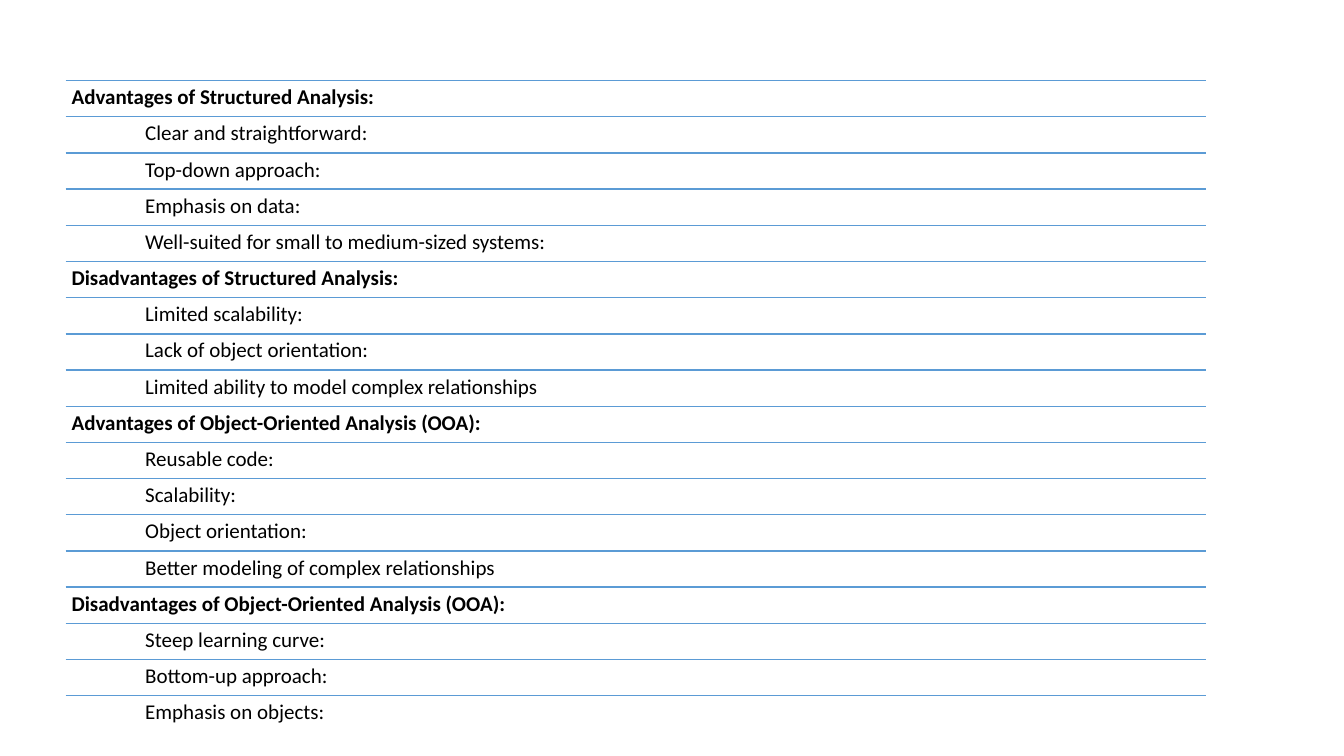
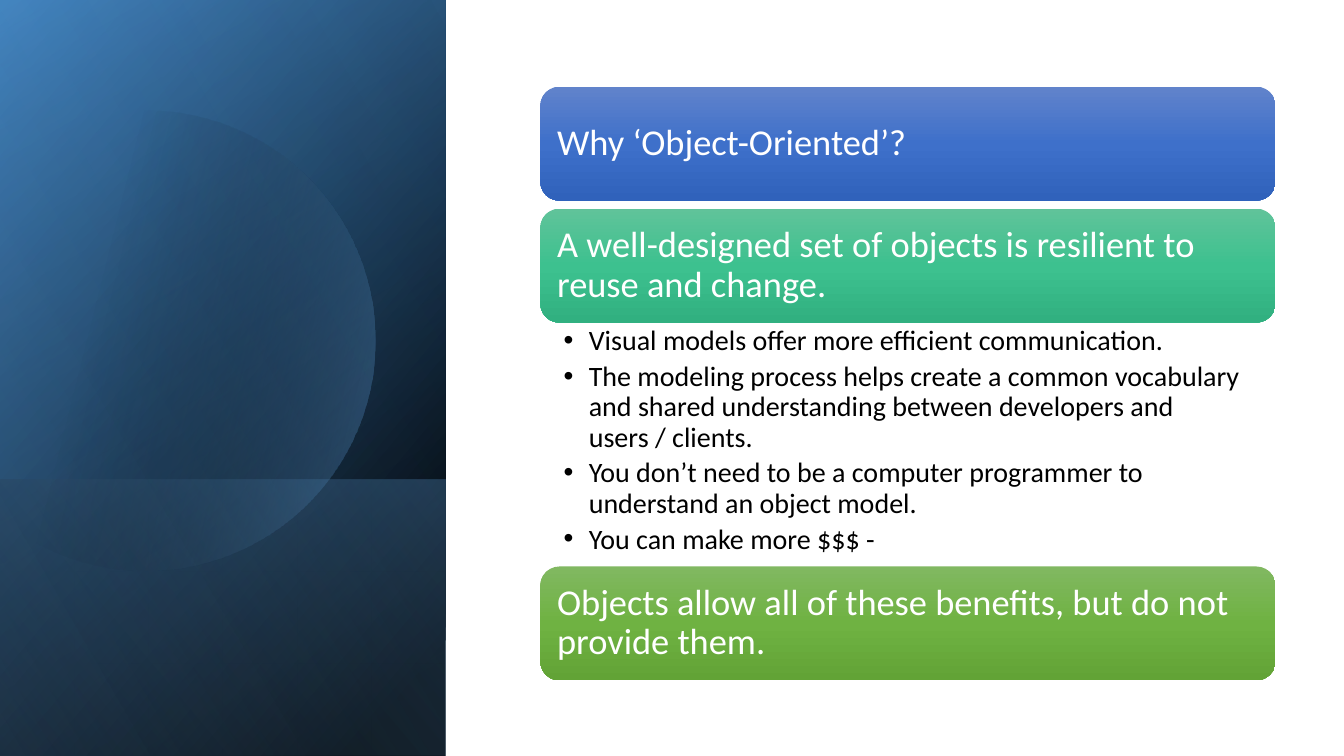
from math import acos, cos, sin, pi

from lxml import etree
from pptx import Presentation
from pptx.dml.color import RGBColor
from pptx.enum import shapes, text
from pptx.oxml import ns, parse_xml
from pptx.util import Inches, Pt

FONT = "Calibri"
BLACK, WHITE, BLUE = "000000", "FFFFFF", "5B9BD5"


def write(shape, lines, size, color, margins, bold=False, anchor=text.MSO_ANCHOR.TOP,
          indent=0, bullet=None, after=0):
    """Fill a shape with left-aligned paragraphs, optionally bulleted."""
    frame = shape.text_frame
    left, top, right, bottom = margins
    layout = {"word_wrap": True, "auto_size": text.MSO_AUTO_SIZE.NONE, "vertical_anchor": anchor,
              "margin_left": Inches(left), "margin_top": Inches(top),
              "margin_right": Inches(right), "margin_bottom": Inches(bottom)}
    for name, value in layout.items():
        setattr(frame, name, value)
    for number, line in enumerate(lines):
        para = frame.paragraphs[0] if number == 0 else frame.add_paragraph()
        para.text = line
        para.alignment = text.PP_ALIGN.LEFT
        para.line_spacing = 0.9
        para.space_after = Pt(after)
        props = para._p.get_or_add_pPr()
        props.set("marL", str(Inches(indent)))
        if bullet:
            props.set("indent", str(-Inches(indent)))
            etree.SubElement(props, ns.qn("a:buFont"), typeface="Arial")
            etree.SubElement(props, ns.qn("a:buChar"), char=bullet)
        for name, value in {"name": FONT, "size": Pt(size), "bold": bold}.items():
            setattr(para.font, name, value)
        para.font.color.rgb = RGBColor.from_string(color)


def shade(shape, stops, angle):
    """Gradient fill from (position %, colour, opacity %) stops, without outline or shadow."""
    shape.shadow.inherit = False
    shape.line.fill.background()
    shape.fill.background()
    stop_xml = "".join(
        f'<a:gs pos="{position * 1000}"><a:srgbClr val="{color}">'
        f'<a:alpha val="{opacity * 1000}"/></a:srgbClr></a:gs>'
        for position, color, opacity in stops)
    gradient = parse_xml(
        f'<a:gradFill {ns.nsdecls("a")} rotWithShape="1"><a:gsLst>{stop_xml}</a:gsLst>'
        f'<a:lin ang="{angle * 60000}" scaled="0"/></a:gradFill>')
    properties = shape._element.spPr
    properties.replace(properties.find(ns.qn("a:noFill")), gradient)


prs = Presentation()
prs.slide_width, prs.slide_height = Inches(13.33), Inches(7.5)
blank = prs.slide_layouts[6]

# Slide 1: ruled list of advantages and disadvantages
comparison = prs.slides.add_slide(blank)
sections = {
    "Advantages of Structured Analysis:": [
        "Clear and straightforward:", "Top-down approach:", "Emphasis on data:",
        "Well-suited for small to medium-sized systems:"],
    "Disadvantages of Structured Analysis:": [
        "Limited scalability:", "Lack of object orientation:",
        "Limited ability to model complex relationships"],
    "Advantages of Object-Oriented Analysis (OOA):": [
        "Reusable code:", "Scalability:", "Object orientation:",
        "Better modeling of complex relationships"],
    "Disadvantages of Object-Oriented Analysis (OOA):": [
        "Steep learning curve:", "Bottom-up approach:", "Emphasis on objects:"],
}
rows = [(line, line == heading) for heading, points in sections.items()
        for line in [heading, *points]]
list_left, list_top, list_width = 0.65, 0.8, 11.31
row_height = (7.26 - list_top) / len(rows)

for index, (line, is_heading) in enumerate(rows):
    top = Inches(list_top + index * row_height)
    rule = comparison.shapes.add_connector(
        shapes.MSO_CONNECTOR.STRAIGHT, Inches(list_left), top,
        Inches(list_left + list_width), top)
    rule.line.color.rgb = RGBColor.from_string(BLUE)
    rule.line.width = Pt(1)
    etree.SubElement(rule._element.spPr, ns.qn("a:effectLst"))
    entry = comparison.shapes.add_textbox(
        Inches(list_left), top, Inches(list_width), Inches(row_height))
    write(entry, [line], 15, BLACK, [0.06] * 4, bold=is_heading,
          indent=0 if is_heading else 0.73)

# Slide 2: shaded side panel and cards
reasons = prs.slides.add_slide(blank)
full_panel, lower_panel = (-1.54, 1.54, 7.5, 4.42), (0.84, 3.92, 2.74, 4.42)
panel_layers = [
    (full_panel, [(8, BLACK, 100), (100, "2E75B6", 100)], 50),
    (full_panel, [(0, BLACK, 0), (99, BLUE, 46)], 30),
    (lower_panel, [(2, BLUE, 29), (100, BLACK, 30)], 130),
    ("disc", [(29, BLACK, 0), (100, BLUE, 43)], 14),
    (full_panel, [(0, BLACK, 0), (99, "9DC3E6", 11)], 120),
]
disc_x, disc_y, disc_radius = 1.44, 3.38, 2.28
disc_reach = acos(-disc_x / disc_radius)  # where the disc meets the slide edge
disc_steps = 90
disc_angles = [disc_reach * (2 * step / disc_steps - 1) for step in range(disc_steps + 1)]
disc_points = [(Inches(disc_x + disc_radius * cos(turn)), Inches(disc_y + disc_radius * sin(turn)))
               for turn in disc_angles]

for place, stops, angle in panel_layers:
    if place == "disc":
        outline = reasons.shapes.build_freeform(*disc_points[0])
        outline.add_line_segments(disc_points[1:], close=True)
        layer = outline.convert_to_shape()
    else:
        layer = reasons.shapes.add_shape(shapes.MSO_SHAPE.RECTANGLE, *map(Inches, place))
        layer.rotation = 90
        layer._element.spPr.xfrm.set("flipH", "1")
    shade(layer, stops, angle)

card_left, card_width, card_height = 5.36, 7.29, 1.13
cards = [
    (0.86, "Why ‘Object-Oriented’?", ["6183CB", "3E70CA", "3062BB"]),
    (2.07, "A well-designed set of objects is resilient to reuse and change.",
     ["60C39A", "3DC18F", "31B080"]),
    (5.62, "Objects allow all of these benefits, but do not provide them.",
     ["81B861", "6FB242", "62A336"]),
]
for top, statement, colors in cards:
    card = reasons.shapes.add_shape(
        shapes.MSO_SHAPE.ROUNDED_RECTANGLE, Inches(card_left), Inches(top),
        Inches(card_width), Inches(card_height))
    shade(card, [(50 * step, color, 100) for step, color in enumerate(colors)], 90)
    write(card, [statement], 26, WHITE, [0.11] * 4, anchor=text.MSO_ANCHOR.MIDDLE)

benefits = reasons.shapes.add_textbox(
    Inches(card_left), Inches(3.2), Inches(card_width), Inches(2.41))
write(benefits, [
    "Visual models offer more efficient communication.",
    "The modeling process helps create a common vocabulary and shared understanding "
    "between developers and users / clients.",
    "You don’t need to be a computer programmer to understand an object model.",
    "You can make more $$$ -",
], 20, BLACK, [0.23, 0.04, 0.2, 0.04], indent=0.25, bullet="•", after=4)

prs.save("out.pptx")
